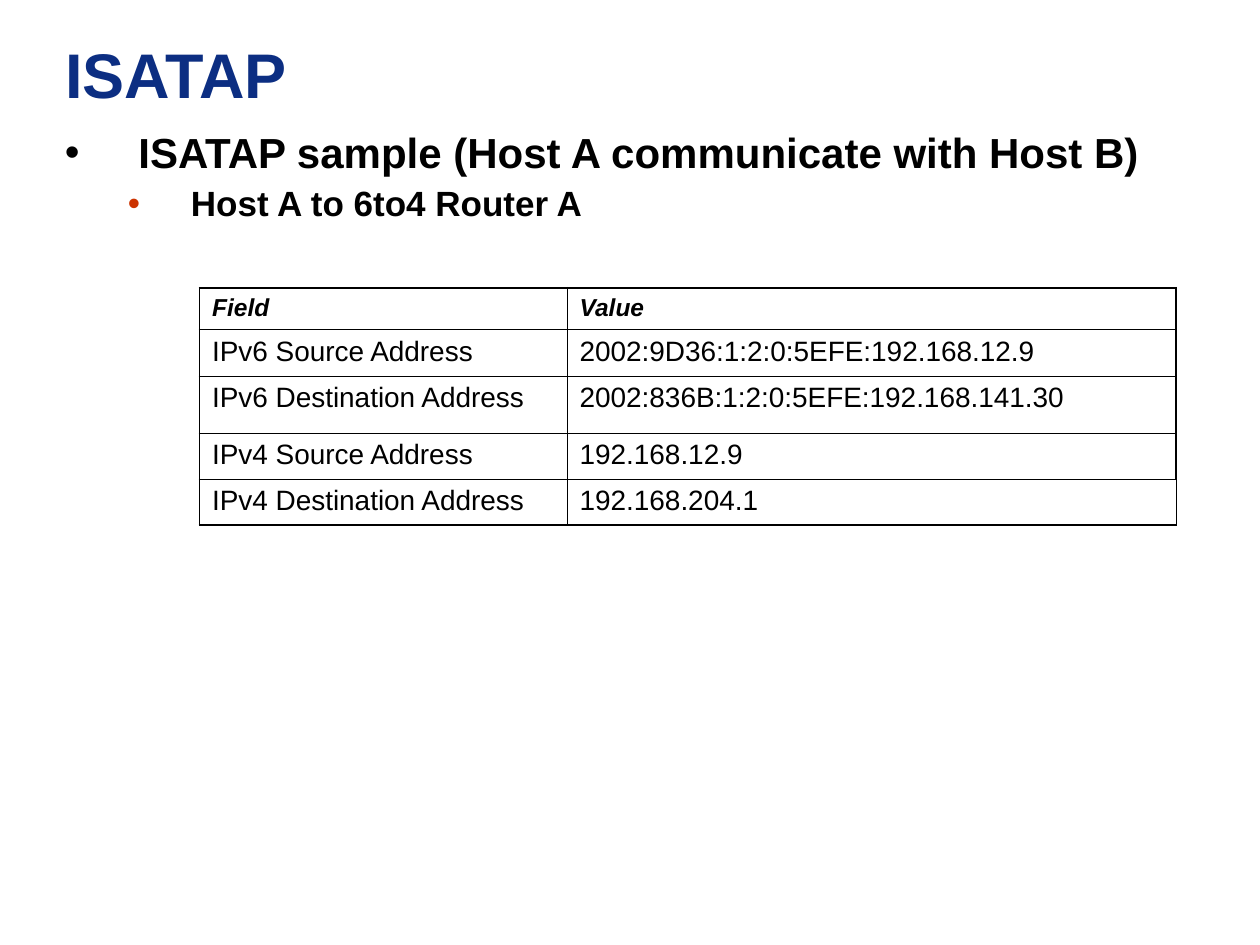
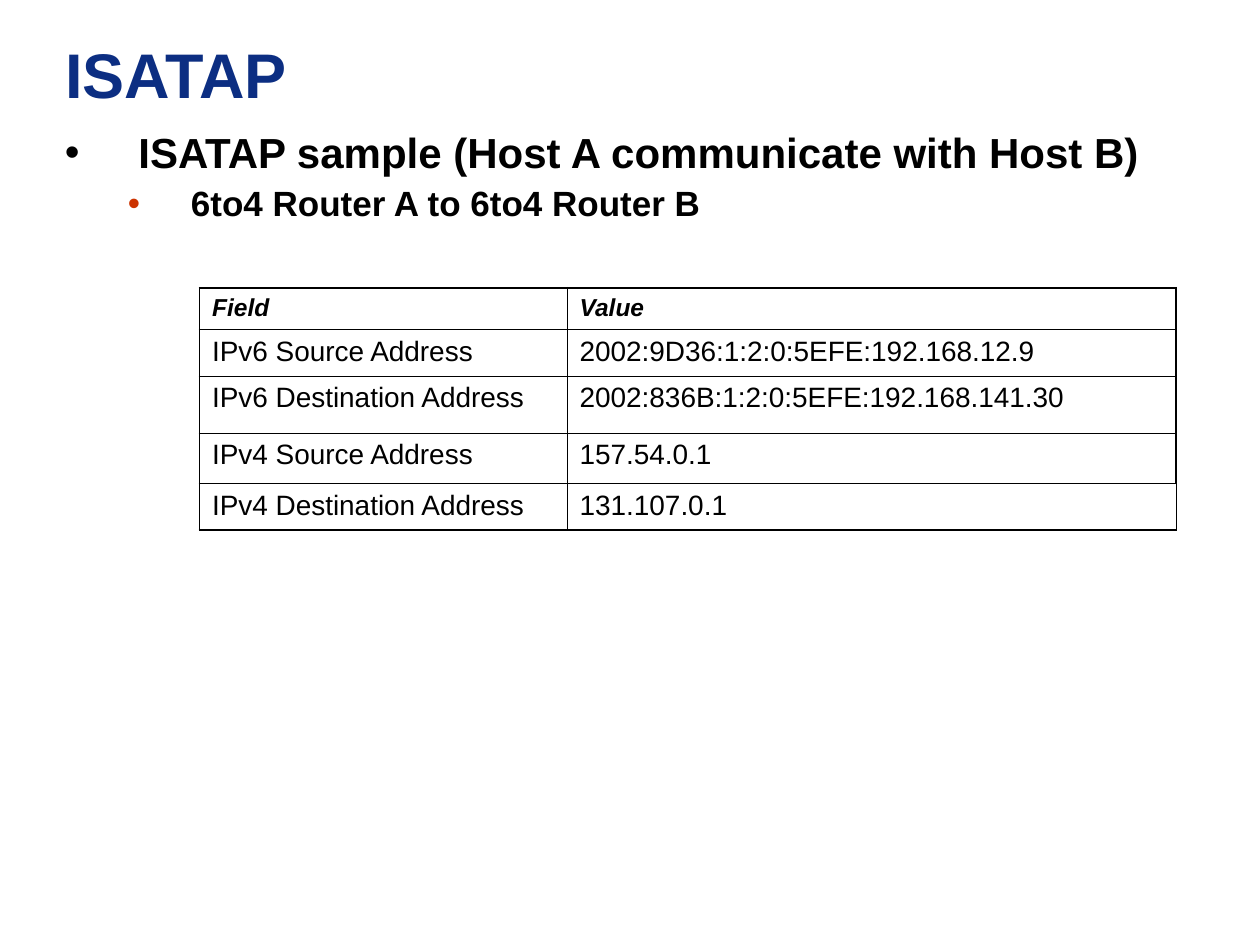
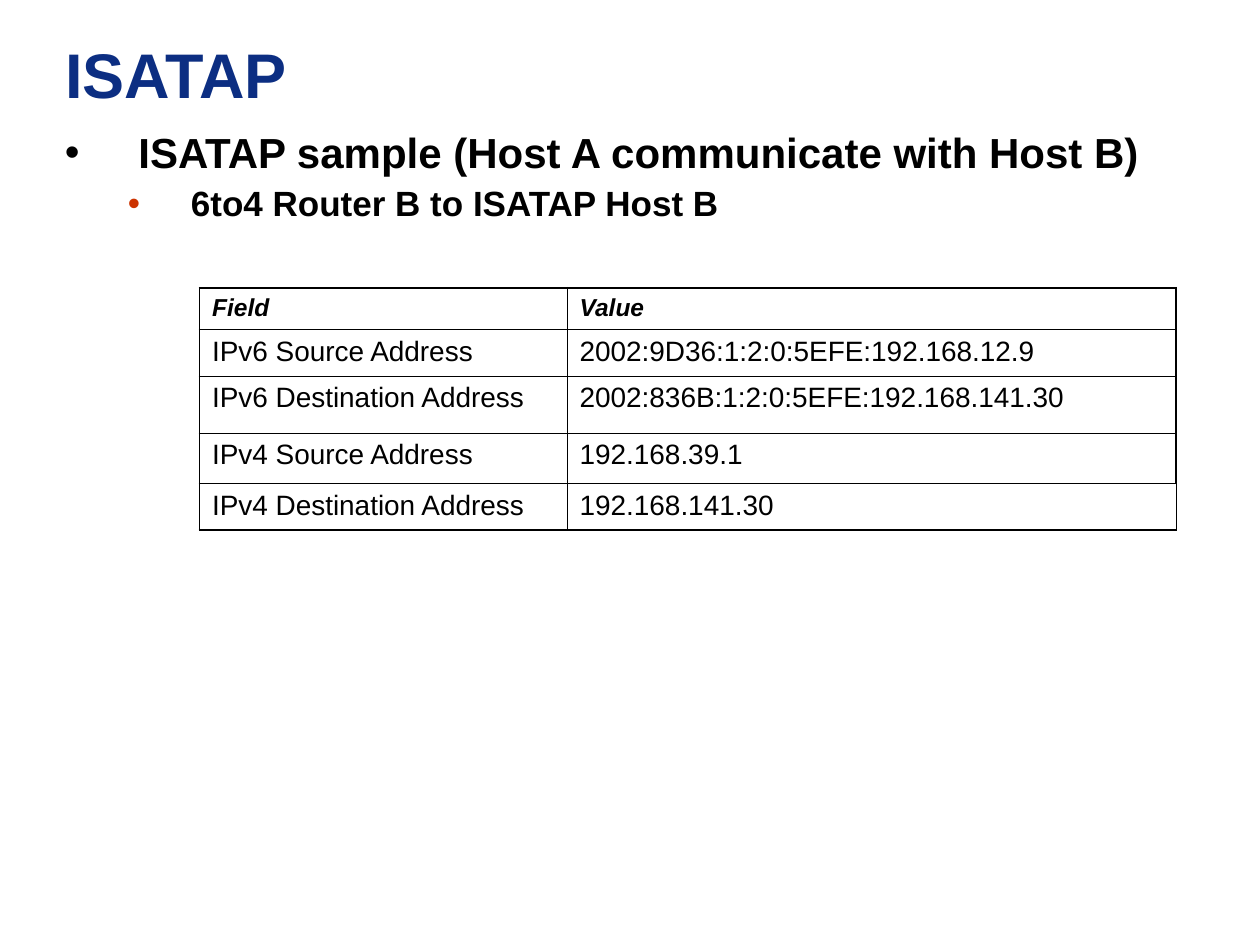
import pptx
import pptx.dml.color
import pptx.enum.text
import pptx.oxml
import pptx.oxml.ns
import pptx.util
from lxml import etree

Pt = pptx.util.Pt
qn = pptx.oxml.ns.qn

FONT = "Arial"
BLACK, NAVY, RED = "000000", "0C2E82", "CC3300"
THIN, THICK = 0.45, 1.08

TITLE = "ISATAP"
TOPIC = "ISATAP sample (Host A communicate with Host B)"
HEADER = ("Field", "Value")
IPV6_ROWS = [
    ("IPv6 Source Address", "2002:9D36:1:2:0:5EFE:192.168.12.9"),
    ("IPv6 Destination Address", "2002:836B:1:2:0:5EFE:192.168.141.30"),
]
HOPS = [
    {"name": "Host A to 6to4 Router A", "source": "192.168.12.9",
     "destination": "192.168.204.1", "source_height": 26.4},
    {"name": "6to4 Router A to 6to4 Router B", "source": "157.54.0.1",
     "destination": "131.107.0.1", "source_height": 29},
    {"name": "6to4 Router B to ISATAP Host B", "source": "192.168.39.1",
     "destination": "192.168.141.30", "source_height": 29},
]

TITLE_BOX = (30, 0, 636, 84)
BODY_BOX = (30, 72, 666, 396)
TABLE_LEFT, TABLE_TOP = 114, 164.4
COLUMN_WIDTHS = (210, 348)
LEVELS = [
    {"size": 24, "left": 42, "hanging": 42, "before": 6, "bullet": BLACK},
    {"size": 20, "left": 72, "hanging": 36, "before": 5, "bullet": RED},
]


def rgb(color):
    return pptx.dml.color.RGBColor.from_string(color)


def style(p, size, color=BLACK, bold=False, italic=False):
    p.alignment = pptx.enum.text.PP_ALIGN.LEFT
    for r in p.runs:
        r.font.name = FONT
        r.font.size = Pt(size)
        r.font.bold = bold
        r.font.italic = italic
        r.font.color.rgb = rgb(color)


def set_bullet(p, level):
    pPr = p._p.get_or_add_pPr()
    pPr.set("marL", str(Pt(level["left"])))
    pPr.set("indent", str(-Pt(level["hanging"])))
    color = etree.SubElement(pPr, qn("a:buClr"))
    etree.SubElement(color, qn("a:srgbClr"), val=level["bullet"])
    etree.SubElement(pPr, qn("a:buFont"), typeface=FONT)
    etree.SubElement(pPr, qn("a:buChar"), char="•")


def set_borders(cell, widths):
    tcPr = cell._tc.get_or_add_tcPr()
    for side, width in zip("LRTB", widths):
        line = etree.SubElement(tcPr, qn("a:ln" + side), w=str(Pt(width)))
        fill = etree.SubElement(line, qn("a:solidFill"))
        etree.SubElement(fill, qn("a:srgbClr"), val=BLACK)


def add_title(s):
    sp = s.shapes.title
    sp.left, sp.top, sp.width, sp.height = map(Pt, TITLE_BOX)
    tf = sp.text_frame
    tf.text = TITLE
    tf.auto_size = pptx.enum.text.MSO_AUTO_SIZE.NONE
    tf.vertical_anchor = pptx.enum.text.MSO_ANCHOR.MIDDLE
    style(tf.paragraphs[0], 36, NAVY, bold=True)


def add_body(s, lines):
    tf = s.shapes.add_textbox(*map(Pt, BODY_BOX)).text_frame
    tf.word_wrap = True
    tf.text = "\n".join(lines)
    for i, (p, level) in enumerate(zip(tf.paragraphs, LEVELS)):
        p.level = i
        p.line_spacing = 0.9
        p.space_before = Pt(level["before"])
        style(p, level["size"], bold=True)
        set_bullet(p, level)


def add_packet_table(s, rows, heights):
    frame = s.shapes.add_table(len(rows), len(HEADER), Pt(TABLE_LEFT), Pt(TABLE_TOP),
                               Pt(sum(COLUMN_WIDTHS)), Pt(sum(heights)))
    table = frame.table
    table.first_row = table.horz_banding = False
    for column, width in zip(table.columns, COLUMN_WIDTHS):
        column.width = Pt(width)
    last = len(rows) - 1
    for i, (row, height) in enumerate(zip(rows, heights)):
        table.rows[i].height = Pt(height)
        for j, text in enumerate(row):
            cell = table.cell(i, j)
            cell.text = text
            is_header = i == 0
            p = cell.text_frame.paragraphs[0]
            p.space_before = Pt(3.5 if is_header else 4)
            style(p, 14 if is_header else 16, bold=is_header, italic=is_header)
            thick = (j == 0, j == 1 and i < last, is_header, i == last)
            set_borders(cell, [THICK if t else THIN for t in thick])
            cell.fill.background()


def main():
    prs = pptx.Presentation()
    prs.slide_width, prs.slide_height = Pt(720), Pt(540)
    for hop in HOPS:
        s = prs.slides.add_slide(prs.slide_layouts.get_by_name("Title Only"))
        add_title(s)
        add_body(s, [TOPIC, hop["name"]])
        rows = [HEADER, *IPV6_ROWS,
                ("IPv4 Source Address", hop["source"]),
                ("IPv4 Destination Address", hop["destination"])]
        add_packet_table(s, rows, (23.75, 26.4, 32.5, hop["source_height"], 26.4))
    prs.save("out.pptx")


if __name__ == "__main__":
    main()
